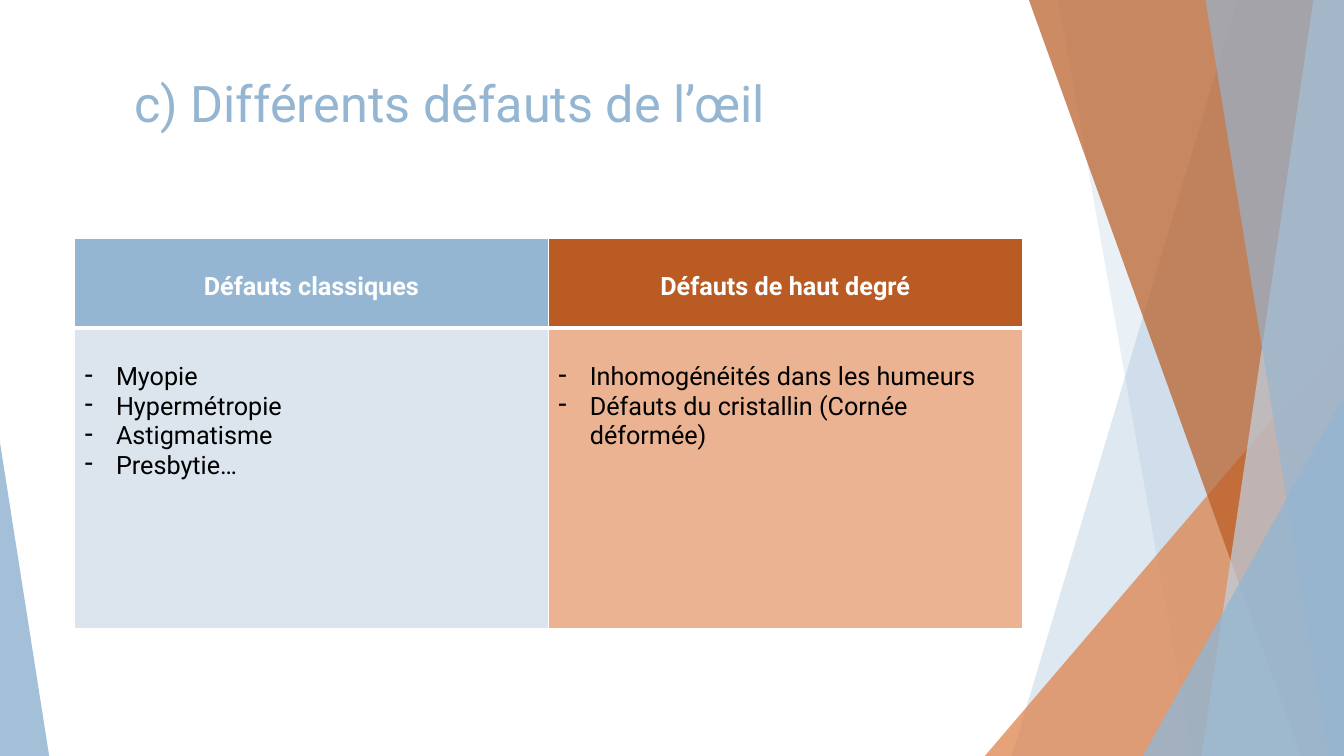
from dataclasses import dataclass

from lxml.etree import SubElement
from pptx import Presentation
from pptx.dml.color import RGBColor
from pptx.enum.shapes import MSO_CONNECTOR, MSO_SHAPE
from pptx.enum.text import MSO_ANCHOR, MSO_AUTO_SIZE, PP_ALIGN
from pptx.oxml.ns import qn
from pptx.util import Cm, Pt


@dataclass(frozen=True)
class Theme:
    font: str = "Roboto"
    title_size: int = 36
    table_size: int = 18
    blue: str = "94B6D2"
    light_blue: str = "BFD3E4"
    pale_blue: str = "DCE5EE"
    orange: str = "DD8047"
    rust: str = "B95B22"
    peach: str = "EBB391"
    white: str = "FFFFFF"
    black: str = "000000"


WIDTH, HEIGHT = 33.87, 19.05


class SlideBuilder:
    def __init__(self, page, theme):
        self.page = page
        self.theme = theme
        self.decor = page.shapes.add_group_shape().shapes

    def style_text(self, paragraph, size, color, bold=False):
        for span in paragraph.runs:
            span.font.name = self.theme.font
            span.font.size = Pt(size)
            span.font.bold = bold
            span.font.color.rgb = RGBColor.from_string(color)

    def paint(self, shape, color, opacity):
        shape.shadow.inherit = False
        shape.fill.solid()
        shape.fill.fore_color.rgb = RGBColor.from_string(color)
        shape.line.fill.background()
        tint = next(shape.element.spPr.iter(qn("a:srgbClr")))
        SubElement(tint, qn("a:alpha"), val=str(opacity * 1000))

    def line(self, start, end):
        points = [Cm(value) for value in (*start, *end)]
        line = self.decor.add_connector(MSO_CONNECTOR.STRAIGHT, *points)
        line.line.color.rgb = RGBColor.from_string(self.theme.white)
        line.line.width = Pt(0.75)
        SubElement(line.element.spPr, qn("a:effectLst"))

    def band(self, top_left, bottom_left, color, opacity):
        outline = self.decor.build_freeform(Cm(top_left), 0)
        corners = [(WIDTH, 0), (WIDTH, HEIGHT), (bottom_left, HEIGHT)]
        outline.add_line_segments([(Cm(x), Cm(y)) for x, y in corners])
        self.paint(outline.convert_to_shape(), color, opacity)

    def triangle(self, left, width, height, apex, color, opacity):
        box = [Cm(value) for value in (left, HEIGHT - height, width, height)]
        shape = self.decor.add_shape(MSO_SHAPE.ISOSCELES_TRIANGLE, *box)
        shape.adjustments[0] = apex
        self.paint(shape, color, opacity)

    def title(self, text, left, top, width, height, inset):
        box = self.page.shapes.title
        box.left, box.top, box.width, box.height = map(Cm, (left, top, width, height))
        self.page.shapes.element.append(box.element)
        frame = box.text_frame
        frame.text = text
        frame.word_wrap = True
        frame.auto_size = MSO_AUTO_SIZE.NONE
        frame.vertical_anchor = MSO_ANCHOR.TOP
        frame.margin_left = Cm(inset)
        paragraph = frame.paragraphs[0]
        paragraph.alignment = PP_ALIGN.LEFT
        self.style_text(paragraph, self.theme.title_size, self.theme.blue)

    def border(self, cell, widths):
        properties = cell._tc.get_or_add_tcPr()
        for position, (side, points) in enumerate(widths.items()):
            edge = SubElement(properties, qn(f"a:ln{side}"), w=str(Pt(points)))
            fill = SubElement(edge, qn("a:solidFill"))
            SubElement(fill, qn("a:srgbClr"), val=self.theme.white)
            properties.insert(position, edge)

    def dash(self, paragraph, indent):
        properties = paragraph._p.get_or_add_pPr()
        properties.set("marL", str(Cm(indent)))
        properties.set("indent", str(-Cm(indent)))
        SubElement(properties, qn("a:buChar"), char="-")

    def cell(self, cell, lines, fill, header):
        cell.fill.solid()
        cell.fill.fore_color.rgb = RGBColor.from_string(fill)
        cell.margin_top = Cm(0.87)
        cell.text_frame.text = "\n".join(lines)
        color = self.theme.white if header else self.theme.black
        for paragraph in cell.text_frame.paragraphs:
            if header:
                paragraph.alignment = PP_ALIGN.CENTER
            else:
                self.dash(paragraph, 0.79)
            self.style_text(paragraph, self.theme.table_size, color, header)
        top, bottom = (1, 3) if header else (3, 1)
        self.border(cell, {"L": 1, "R": 1, "T": top, "B": bottom})

    def table(self, columns, left, top, width, row_heights):
        box = map(Cm, (left, top, width, sum(row_heights)))
        table = self.page.shapes.add_table(2, len(columns), *box).table
        table.horz_banding = False
        for row, height in zip(table.rows, row_heights):
            row.height = Cm(height)
        for index, (heading, items, dark, light) in enumerate(columns):
            table.columns[index].width = Cm(width / len(columns))
            self.cell(table.cell(0, index), [heading], dark, True)
            self.cell(table.cell(1, index), items, light, False)


def main():
    theme = Theme()
    deck = Presentation()
    deck.slide_width, deck.slide_height = Cm(WIDTH), Cm(HEIGHT)
    builder = SlideBuilder(deck.slides.add_slide(deck.slide_layouts[5]), theme)

    builder.line((26.04, 0), (29.41, HEIGHT))
    builder.line((WIDTH, 10.24), (20.62, HEIGHT))
    builder.band(31.19, 25.5, theme.blue, 30)
    builder.band(26.67, 30.05, theme.blue, 20)
    builder.triangle(24.82, 9.05, 10.59, 1, theme.orange, 72)
    builder.band(25.93, 32.79, theme.rust, 70)
    builder.band(33.1, 30.28, theme.light_blue, 70)
    builder.band(30.38, 33.48, theme.blue, 65)
    builder.triangle(28.8, 5.07, 9.07, 1, theme.blue, 80)
    builder.triangle(0, 1.24, 7.9, 0, theme.blue, 85)

    builder.title("c) Différents défauts de l’œil", 1.88, 1.7, 23.88, 3.66, 1.5)
    columns = [
        ("Défauts classiques",
         ["Myopie", "Hypermétropie", "Astigmatisme", "Presbytie…"],
         theme.blue, theme.pale_blue),
        ("Défauts de haut degré",
         ["Inhomogénéités dans les humeurs",
          "Défauts du cristallin (Cornée déformée)"],
         theme.rust, theme.peach),
    ]
    builder.table(columns, 1.88, 6, 23.88, [2.26, 7.59])
    deck.save("out.pptx")


if __name__ == "__main__":
    main()
